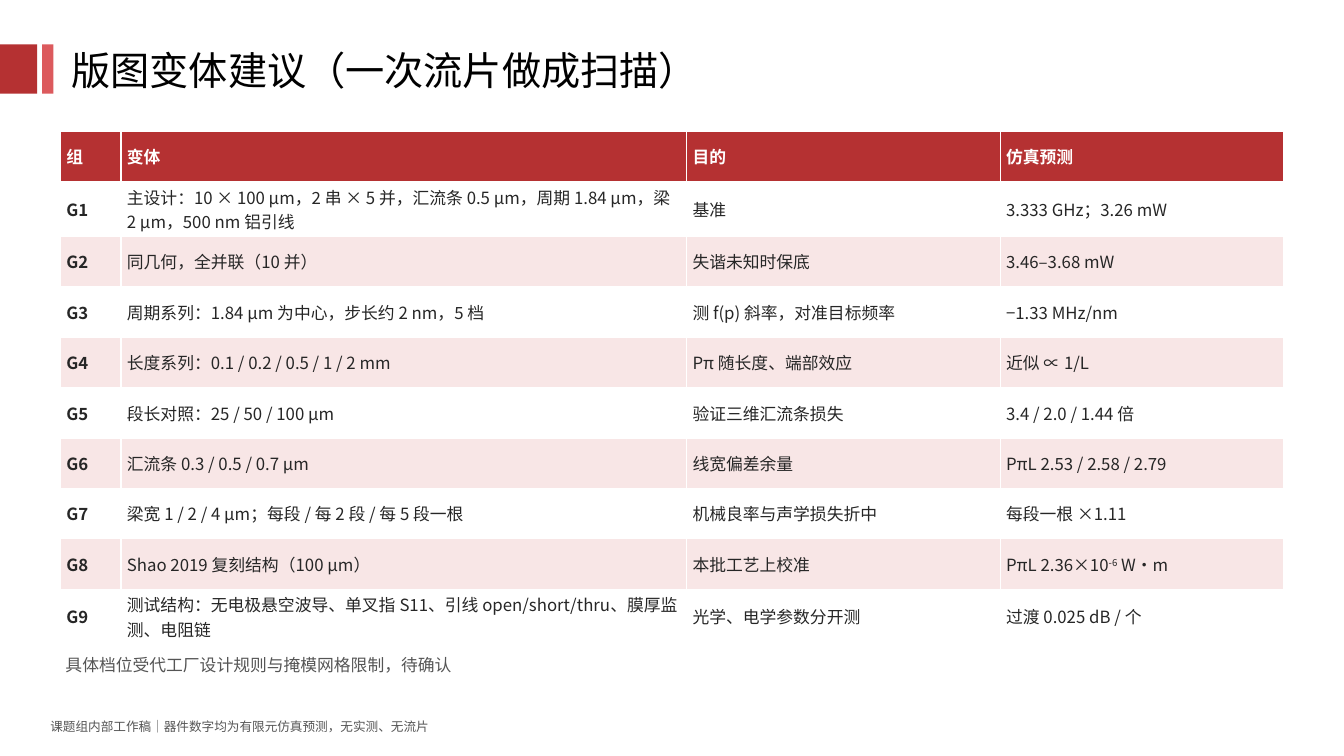
from dataclasses import dataclass

from lxml import etree
from pptx import Presentation
from pptx.dml.color import RGBColor
from pptx.enum.shapes import MSO_SHAPE
from pptx.enum.text import MSO_ANCHOR, MSO_AUTO_SIZE, PP_ALIGN
from pptx.oxml.ns import qn
from pptx.util import Pt

RECTANGLE = MSO_SHAPE.RECTANGLE
MIDDLE, TOP = MSO_ANCHOR.MIDDLE, MSO_ANCHOR.TOP
LEFT = PP_ALIGN.LEFT
NO_FIT = MSO_AUTO_SIZE.NONE

# Content; text after "^" and before the next "^" is superscript
TITLE = "版图变体建议（一次流片做成扫描）"
HEADER = ("组", "变体", "目的", "仿真预测")
VARIANTS = [
    ("G1", "主设计：10 × 100 µm，2 串 × 5 并，汇流条 0.5 µm，周期 1.84 µm，梁 2 µm，500 nm 铝引线",
     "基准", "3.333 GHz；3.26 mW"),
    ("G2", "同几何，全并联（10 并）", "失谐未知时保底", "3.46–3.68 mW"),
    ("G3", "周期系列：1.84 µm 为中心，步长约 2 nm，5 档", "测 f(p) 斜率，对准目标频率", "−1.33 MHz/nm"),
    ("G4", "长度系列：0.1 / 0.2 / 0.5 / 1 / 2 mm", "Pπ 随长度、端部效应", "近似 ∝ 1/L"),
    ("G5", "段长对照：25 / 50 / 100 µm", "验证三维汇流条损失", "3.4 / 2.0 / 1.44 倍"),
    ("G6", "汇流条 0.3 / 0.5 / 0.7 µm", "线宽偏差余量", "PπL 2.53 / 2.58 / 2.79"),
    ("G7", "梁宽 1 / 2 / 4 µm；每段 / 每 2 段 / 每 5 段一根", "机械良率与声学损失折中", "每段一根 ×1.11"),
    ("G8", "Shao 2019 复刻结构（100 µm）", "本批工艺上校准", "PπL 2.36×10^-6^ W·m"),
    ("G9", "测试结构：无电极悬空波导、单叉指 S11、引线 open/short/thru、膜厚监测、电阻链",
     "光学、电学参数分开测", "过渡 0.025 dB / 个"),
]
NOTE = "具体档位受代工厂设计规则与掩模网格限制，待确认"
FOOTER = "课题组内部工作稿｜器件数字均为有限元仿真预测，无实测、无流片"


@dataclass(frozen=True)
class Theme:
    font: str = "Noto Sans CJK SC"
    red: str = "B53132"
    light_red: str = "DC5A5D"
    band: str = "F8E6E6"
    white: str = "FFFFFF"
    black: str = "000000"
    ink: str = "262626"
    grey: str = "555555"
    title_size: int = 28
    body_size: int = 12
    footer_size: int = 9


THEME = Theme()

# Geometry in points
SLIDE_SIZE = (960, 540)
BARS = [((0, 31.7, 26.6, 35.3), THEME.red), ((30.2, 31.7, 8, 35.3), THEME.light_red)]
TITLE_BOX = (43.9, 29.5, 763, 41)
TABLE_LEFT, TABLE_TOP = 43.2, 93.6
COLUMN_WIDTHS = (43.2, 404, 224, 202.2)
ROW_HEIGHT = 36
NOTE_BOX = (43.2, 464.4, 871.2, 28.8)
FOOTER_BOX = (32.4, 509.8, 684, 21.6)


def points(box):
    return [Pt(value) for value in box]


def write_text(frame, text, size=THEME.body_size, color=THEME.ink, bold=False):
    paragraph = frame.paragraphs[0]
    paragraph.alignment = LEFT
    for index, part in enumerate(text.split("^")):
        run = paragraph.add_run()
        run.text = part
        font = run.font
        font.name, font.size, font.bold = THEME.font, Pt(size), bold
        font.color.rgb = RGBColor.from_string(color)
        properties = run._r.get_or_add_rPr()
        etree.SubElement(properties, qn("a:ea")).set("typeface", THEME.font)
        if index % 2:
            properties.set("baseline", "30000")


def fill_with(target, color):
    target.fill.solid()
    target.fill.fore_color.rgb = RGBColor.from_string(color)


def add_bar(slide, box, color):
    shape = slide.shapes.add_shape(RECTANGLE, *points(box))
    shape.shadow.inherit = False
    shape.line.fill.background()
    fill_with(shape, color)


def add_title(slide):
    title = slide.shapes.title
    title.left, title.top, title.width, title.height = points(TITLE_BOX)
    frame = title.text_frame
    frame.auto_size, frame.vertical_anchor = NO_FIT, MIDDLE
    write_text(frame, TITLE, size=THEME.title_size, color=THEME.black)


def add_text_box(slide, box, text, **style):
    frame = slide.shapes.add_textbox(*points(box)).text_frame
    frame.word_wrap = True
    frame.vertical_anchor = TOP
    frame.margin_left = frame.margin_right = Pt(3.6)
    frame.margin_top = frame.margin_bottom = Pt(3.6)
    write_text(frame, text, **style)


def add_variant_table(slide):
    rows = [HEADER, *VARIANTS]
    box = (TABLE_LEFT, TABLE_TOP, sum(COLUMN_WIDTHS), ROW_HEIGHT * len(rows))
    table = slide.shapes.add_table(len(rows), len(HEADER), *points(box)).table
    for column, width in zip(table.columns, COLUMN_WIDTHS):
        column.width = Pt(width)
    for row_index, values in enumerate(rows):
        table.rows[row_index].height = Pt(ROW_HEIGHT)
        is_header = row_index == 0
        band = THEME.white if row_index % 2 else THEME.band
        for column_index, text in enumerate(values):
            cell = table.cell(row_index, column_index)
            cell.vertical_anchor = MIDDLE
            cell.margin_left = cell.margin_right = Pt(4.3)
            cell.margin_top = cell.margin_bottom = Pt(2.2)
            fill_with(cell, THEME.red if is_header else band)
            write_text(cell.text_frame, text,
                       color=THEME.white if is_header else THEME.ink,
                       bold=is_header or column_index == 0)


def main():
    presentation = Presentation()
    presentation.slide_width, presentation.slide_height = points(SLIDE_SIZE)
    slide = presentation.slides.add_slide(presentation.slide_layouts.get_by_name("Title Only"))

    # Heading
    for box, color in BARS:
        add_bar(slide, box, color)
    add_title(slide)

    # Variants and remarks
    add_variant_table(slide)
    add_text_box(slide, NOTE_BOX, NOTE, color=THEME.grey)
    add_text_box(slide, FOOTER_BOX, FOOTER, size=THEME.footer_size, color=THEME.grey)

    presentation.save("out.pptx")


if __name__ == "__main__":
    main()
